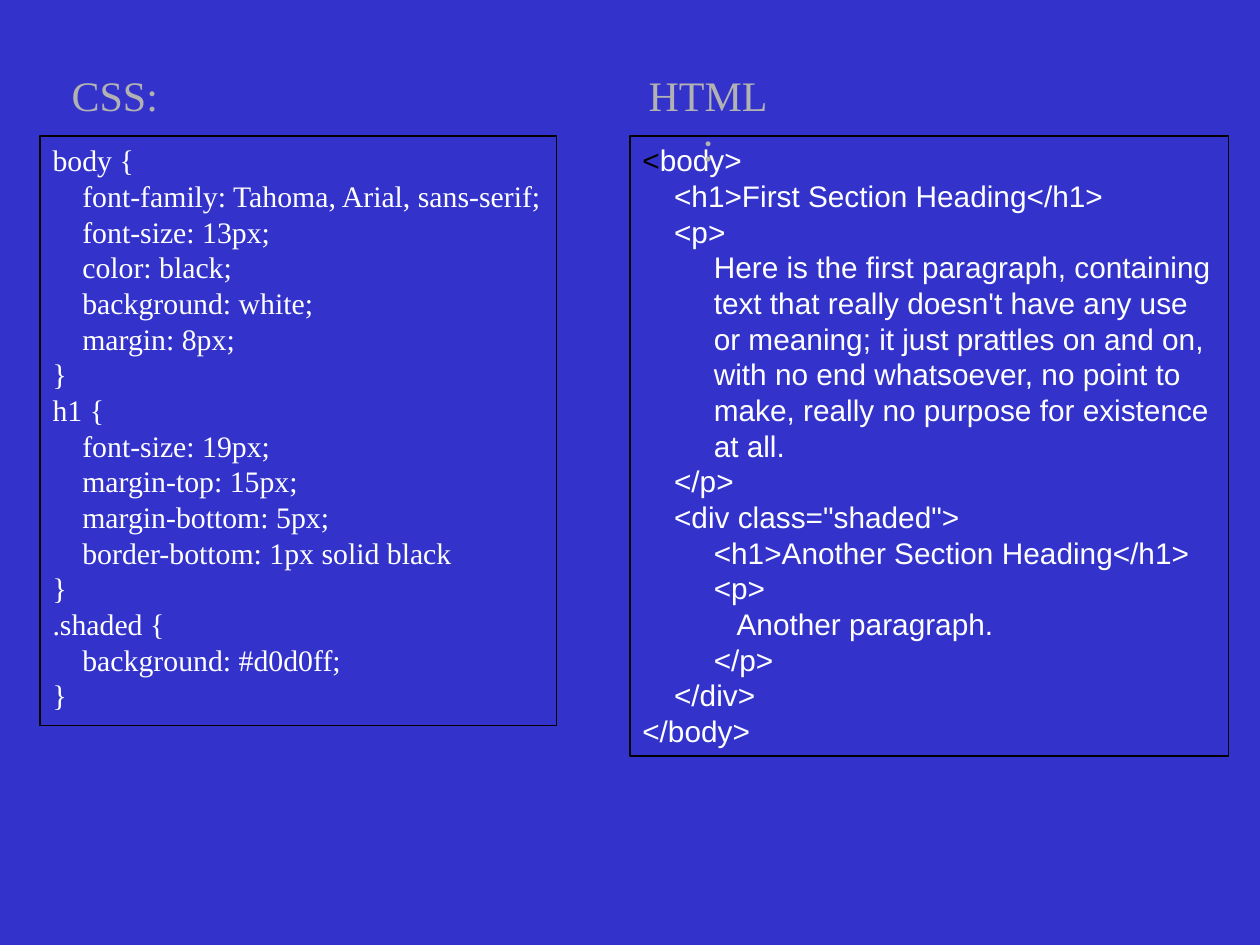
import pptx
import pptx.dml.color
import pptx.enum.shapes
import pptx.enum.text
import pptx.oxml
import pptx.oxml.ns
import pptx.util

Cm = pptx.util.Cm
Pt = pptx.util.Pt
RGBColor = pptx.dml.color.RGBColor
PP_ALIGN = pptx.enum.text.PP_ALIGN

BLUE = RGBColor(0x33, 0x33, 0xCC)
GREY = RGBColor(0xB2, 0xB2, 0xB2)
WHITE = RGBColor(0xFF, 0xFF, 0xFF)
BLACK = RGBColor(0x00, 0x00, 0x00)

CSS_CODE = """body {
    font-family: Tahoma, Arial, sans-serif;
    font-size: 13px;
    color: black;
    background: white;
    margin: 8px;
}
h1 {
    font-size: 19px;
    margin-top: 15px;
    margin-bottom: 5px;
    border-bottom: 1px solid black
}
.shaded {
    background: #d0d0ff;
}"""

# Nesting depth (number of tabs) and text of each line
HTML_CODE = [
    (0, "<body>"),
    (1, "<h1>First Section Heading</h1>"),
    (1, "<p>"),
    (2, "Here is the first paragraph, containing"),
    (2, "text that really doesn't have any use"),
    (2, "or meaning; it just prattles on and on,"),
    (2, "with no end whatsoever, no point to"),
    (2, "make, really no purpose for existence"),
    (2, "at all."),
    (1, "</p>"),
    (1, "<div class=\"shaded\">"),
    (2, "<h1>Another Section Heading</h1>"),
    (2, "<p>"),
    (3, "Another paragraph."),
    (2, "</p>"),
    (1, "</div>"),
    (0, "</body>"),
]
HTML_TABS = [Cm(0.64), Cm(1.44), Cm(1.9)]


class CodeSlide:
    heading_format = {"name": "Times New Roman", "size": Pt(24)}
    code_size = Pt(17)
    code_spacing = Pt(20.4)

    def __init__(self, presentation):
        self.slide = presentation.slides.add_slide(presentation.slide_layouts[6])
        fill = self.slide.background.fill
        fill.solid()
        fill.fore_color.rgb = BLUE

    def add_run(self, paragraph, text, color, font_format):
        run = paragraph.add_run()
        run.text = text
        for name, value in font_format.items():
            setattr(run.font, name, value)
        run.font.color.rgb = color
        return run

    def set_frame(self, shape, wrap):
        frame_format = {
            "word_wrap": wrap,
            "auto_size": pptx.enum.text.MSO_AUTO_SIZE.SHAPE_TO_FIT_TEXT,
            "vertical_anchor": pptx.enum.text.MSO_ANCHOR.TOP,
        }
        for name, value in frame_format.items():
            setattr(shape.text_frame, name, value)
        return shape.text_frame

    def add_heading(self, text, left, width):
        box = self.slide.shapes.add_textbox(left, Cm(1.27), width, Cm(1.27))
        paragraph = self.set_frame(box, wrap=False).paragraphs[0]
        paragraph.alignment = PP_ALIGN.CENTER
        self.add_run(paragraph, text, GREY, self.heading_format)

    def add_tab_stops(self, paragraph, positions):
        tab_list = pptx.oxml.parse_xml(
            f"<a:tabLst {pptx.oxml.ns.nsdecls('a')}/>")
        for position in positions:
            tab = tab_list.makeelement(pptx.oxml.ns.qn("a:tab"),
                                       {"pos": str(int(position)), "algn": "l"})
            tab_list.append(tab)
        paragraph._p.get_or_add_pPr().append(tab_list)

    def add_code(self, lines, left, width, height, font_name, wrap,
                 tabs=(), black_start=""):
        """Add a framed listing; black_start is the opening text shown in black."""
        shape = self.slide.shapes.add_shape(
            pptx.enum.shapes.MSO_SHAPE.RECTANGLE, left, Cm(2.74), width, height)
        shape.shadow.inherit = False
        shape.fill.background()
        shape.line.color.rgb = BLACK
        shape.line.width = Pt(0.75)
        frame = self.set_frame(shape, wrap)
        font_format = {"name": font_name, "size": self.code_size}
        for index, line in enumerate(lines):
            paragraph = frame.add_paragraph() if index else frame.paragraphs[0]
            paragraph.alignment = PP_ALIGN.LEFT
            paragraph.line_spacing = self.code_spacing
            if tabs:
                self.add_tab_stops(paragraph, tabs)
            if index == 0 and black_start:
                self.add_run(paragraph, black_start, BLACK, font_format)
                line = line[len(black_start):]
            self.add_run(paragraph, line, WHITE, font_format)


def main():
    presentation = pptx.Presentation()
    presentation.slide_width = Cm(25.4)
    presentation.slide_height = Cm(19.05)

    code_slide = CodeSlide(presentation)
    code_slide.add_code(CSS_CODE.split("\n"), Cm(0.81), Cm(10.41), Cm(11.89),
                        "Times New Roman", wrap=False)
    html_lines = ["\t" * depth + text for depth, text in HTML_CODE]
    code_slide.add_code(html_lines, Cm(12.7), Cm(12.07), Cm(12.5),
                        "Arial", wrap=True, tabs=HTML_TABS, black_start="<")
    code_slide.add_heading("CSS:", Cm(1.07), Cm(2.49))
    code_slide.add_heading("HTML:", Cm(12.75), Cm(3.05))

    presentation.save("out.pptx")


if __name__ == "__main__":
    main()
